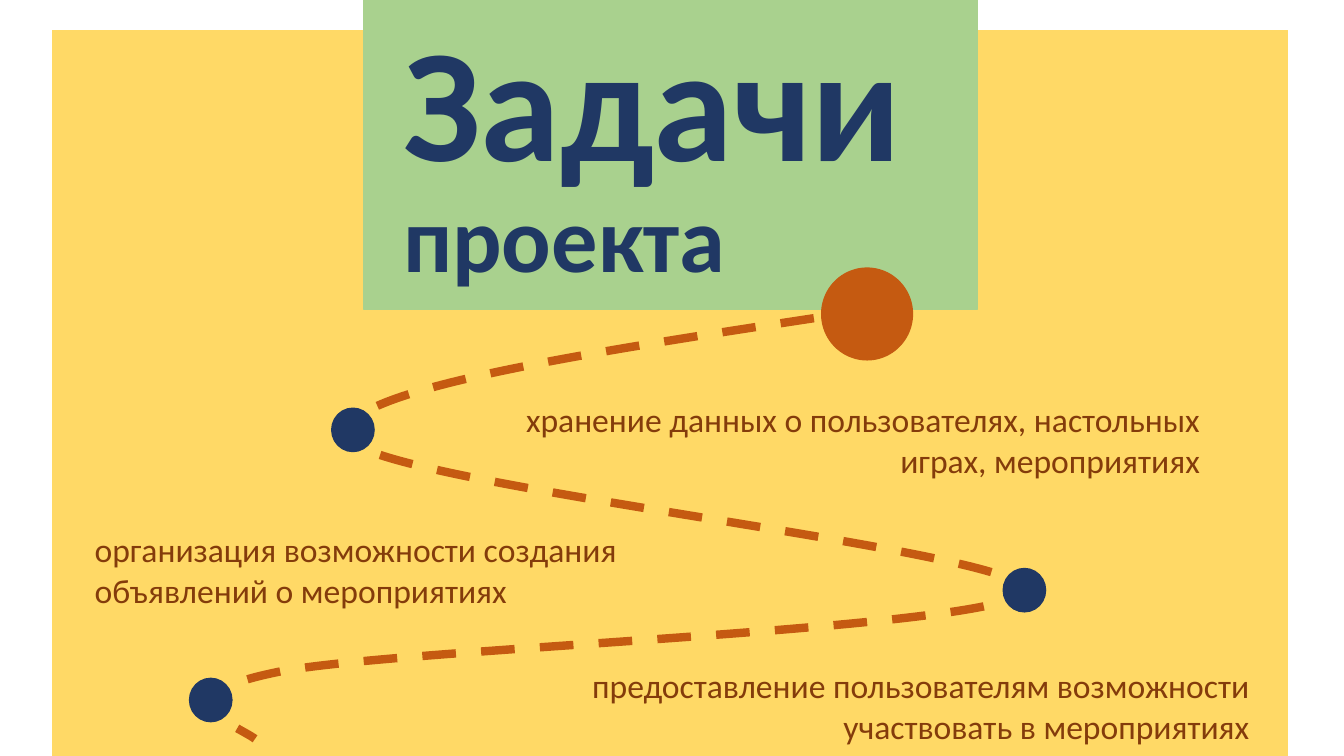
from lxml import etree
from pptx import Presentation
from pptx import util as u
from pptx.dml.color import RGBColor
from pptx.enum import dml, shapes, text
from pptx.oxml import ns

YELLOW = RGBColor(0xFF, 0xD9, 0x66)
GREEN = RGBColor(0xA9, 0xD1, 0x8E)
ORANGE = RGBColor(0xC5, 0x5A, 0x11)
NAVY = RGBColor(0x20, 0x38, 0x64)
BROWN = RGBColor(0x84, 0x3C, 0x0B)

FONT = "Calibri"
ROUTE_LEFT, ROUTE_TOP = 2.09, 3.07
ROUTE_RIGHT, ROUTE_BOTTOM = 10.16, 7.34
ROUTE_START = (8.65, 3.07)
ROUTE_CURVES = [
    ((5.93, 3.48), (3.21, 3.88), (3.46, 4.35)),
    ((3.71, 4.81), (10.27, 5.47), (10.16, 5.86)),
    ((10.04, 6.24), (4.06, 6.42), (2.79, 6.66)),
    ((1.52, 6.91), (2.32, 7.18), (2.53, 7.33)),
]
STOPS = [(3.29, 4.05), (9.95, 5.64), (1.88, 6.73)]
TASKS = [
    ("хранение данных о пользователях, настольных играх, мероприятиях",
     (4.51, 3.91, 7.49, 0.91), text.PP_ALIGN.RIGHT),
    ("организация возможности создания объявлений о мероприятиях",
     (0.84, 5.2, 7.06, 0.91), text.PP_ALIGN.LEFT),
    ("предоставление пользователям возможности участвовать в мероприятиях",
     (4.42, 6.55, 8.07, 0.91), text.PP_ALIGN.RIGHT),
]


def add_filled_shape(slide, kind, box, color):
    shape = slide.shapes.add_shape(kind, *map(u.Inches, box))
    shape.shadow.inherit = False
    shape.fill.solid()
    shape.fill.fore_color.rgb = color
    shape.line.color.rgb = color
    shape.line.width = u.Pt(1)


def write_text(shape, words, size, color, bold=False, align=text.PP_ALIGN.LEFT):
    frame = shape.text_frame
    frame.word_wrap = True
    frame.auto_size = text.MSO_AUTO_SIZE.SHAPE_TO_FIT_TEXT
    frame.vertical_anchor = text.MSO_ANCHOR.TOP
    paragraph = frame.paragraphs[0]
    paragraph.alignment = align
    run = paragraph.add_run()
    run.text = words
    run.font.name = FONT
    run.font.size = u.Pt(size)
    run.font.bold = bold
    run.font.color.rgb = color


def add_text(slide, words, box, size, color, bold=False, align=text.PP_ALIGN.LEFT):
    shape = slide.shapes.add_textbox(*map(u.Inches, box))
    write_text(shape, words, size, color, bold, align)


def place_title(slide, words, box):
    title = slide.shapes.title
    title.left, title.top, title.width, title.height = map(u.Inches, box)
    write_text(title, words, 115, NAVY, bold=True)
    title.element.getparent().append(title.element)


def add_segment(outline, tag, points):
    segment = etree.SubElement(outline, ns.qn(tag))
    for x, y in points:
        etree.SubElement(segment, ns.qn("a:pt"),
                         x=str(int(u.Inches(x - ROUTE_LEFT))),
                         y=str(int(u.Inches(y - ROUTE_TOP))))


def add_route(slide):
    builder = slide.shapes.build_freeform(u.Inches(ROUTE_LEFT), u.Inches(ROUTE_TOP))
    builder.add_line_segments([(u.Inches(ROUTE_RIGHT), u.Inches(ROUTE_BOTTOM))], close=False)
    route = builder.convert_to_shape()
    outline = next(route.element.iter(ns.qn("a:path")))
    for segment in list(outline):
        outline.remove(segment)
    add_segment(outline, "a:moveTo", [ROUTE_START])
    for curve in ROUTE_CURVES:
        add_segment(outline, "a:cubicBezTo", curve)
    route.shadow.inherit = False
    route.fill.background()
    route.line.color.rgb = ORANGE
    route.line.width = u.Pt(6)
    route.line.dash_style = dml.MSO_LINE.DASH


def main():
    presentation = Presentation()
    presentation.slide_width = u.Inches(13.33)
    presentation.slide_height = u.Inches(7.5)
    slide = presentation.slides.add_slide(presentation.slide_layouts.get_by_name("Title Only"))

    rectangle = shapes.MSO_SHAPE.RECTANGLE
    circle = shapes.MSO_SHAPE.OVAL
    add_filled_shape(slide, rectangle, (0.52, 0.3, 12.25, 7.2), YELLOW)
    add_filled_shape(slide, rectangle, (3.61, -1.01, 6.08, 4.08), GREEN)
    add_filled_shape(slide, circle, (8.15, 2.66, 0.9, 0.91), ORANGE)
    place_title(slide, "Задачи", (3.9, -0.04, 5.54, 2.04))
    add_route(slide)
    for words, box, align in TASKS:
        add_text(slide, words, box, 24, BROWN, align=align)
    for left, top in STOPS:
        add_filled_shape(slide, circle, (left, top, 0.42, 0.43), NAVY)
    add_text(slide, "проекта", (3.9, 1.74, 6.67, 1.21), 66, NAVY, bold=True)

    presentation.save("out.pptx")


if __name__ == "__main__":
    main()
